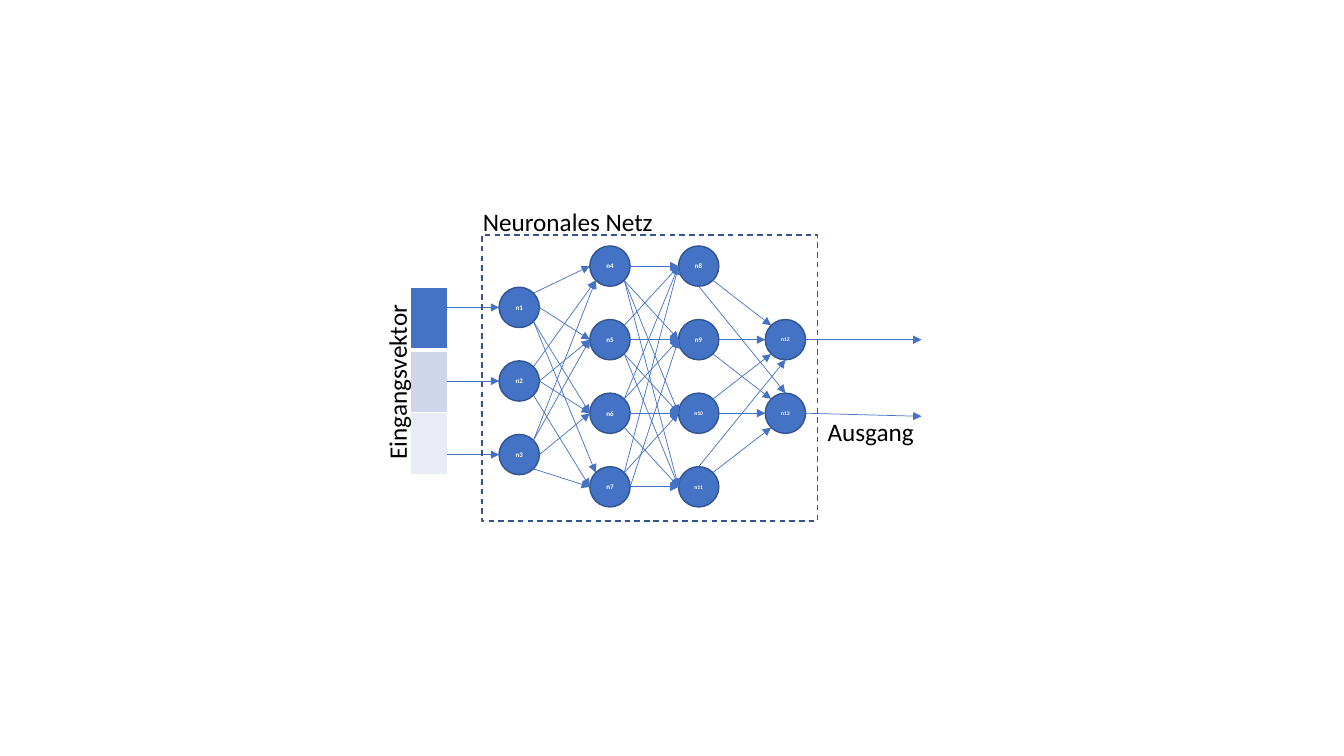
import pptx
import pptx.util
import pptx.dml.color
import pptx.enum.dml
import pptx.enum.shapes
import pptx.enum.text
import pptx.oxml
import pptx.oxml.ns
from lxml import etree
from pptx.util import Inches

COLORS = {"blue": "4472C4", "outline": "325491", "white": "FFFFFF", "black": "000000",
          "light": "CFD5EA", "pale": "E9EBF5"}
FONT = "Calibri"
DIAMETER = 0.4
ROW_STEP = 0.73

# Left edge, first top and node count of each layer
LAYERS = [(4.95, 2.85, 3), (5.85, 2.44, 4), (6.73, 2.44, 4), (7.59, 3.17, 2)]

# Compass points on a node, as fractions of its radius
SITES = {"n": (0, -1), "ne": (0.71, -0.71), "e": (1, 0), "se": (0.71, 0.71),
         "s": (0, 1), "sw": (-0.71, 0.71), "w": (-1, 0), "nw": (-0.71, -0.71)}

# Source node: (exit site, target node, entry site)
EDGES = {
    1: [("ne", 4, "w"), ("e", 5, "w"), ("se", 6, "w"), ("se", 7, "nw")],
    2: [("ne", 4, "sw"), ("e", 5, "w"), ("e", 6, "w"), ("se", 7, "w")],
    3: [("ne", 4, "sw"), ("ne", 5, "w"), ("e", 6, "w"), ("se", 7, "w")],
    4: [("e", 8, "w"), ("se", 9, "w"), ("se", 10, "w"), ("se", 11, "w")],
    5: [("ne", 8, "w"), ("e", 9, "w"), ("se", 10, "w"), ("se", 11, "w")],
    6: [("ne", 8, "w"), ("ne", 9, "w"), ("e", 10, "w"), ("se", 11, "w")],
    7: [("ne", 8, "w"), ("e", 9, "w"), ("ne", 10, "w"), ("e", 11, "w")],
    8: [("se", 12, "nw"), ("s", 13, "n")],
    9: [("e", 12, "w"), ("se", 13, "nw")],
    10: [("ne", 12, "sw"), ("e", 13, "w")],
    11: [("n", 12, "s"), ("ne", 13, "sw")],
}


def rgb(name):
    """Return the named colour."""
    return pptx.dml.color.RGBColor.from_string(COLORS[name])


class Diagram:
    """Holds the style and the current slide."""

    def __init__(self, slide):
        """Draw on the given slide."""
        self.slide = slide

    def set_text(self, text_frame, text, size, color, bold=False, centered=True):
        """Set and format one paragraph of text."""
        text_frame.text = text
        paragraph = text_frame.paragraphs[0]
        if centered:
            paragraph.alignment = pptx.enum.text.PP_ALIGN.CENTER
        font = paragraph.runs[0].font
        font.name, font.size, font.bold = FONT, pptx.util.Pt(size), bold
        font.color.rgb = rgb(color)

    def outlined(self, kind, left, top, width, height):
        """Add a preset shape with the dark outline."""
        shape = self.slide.shapes.add_shape(
            kind, Inches(left), Inches(top), Inches(width), Inches(height))
        shape.shadow.inherit = False
        shape.line.color.rgb = rgb("outline")
        shape.line.width = pptx.util.Pt(1)
        return shape

    def node(self, number, left, top):
        """Add a labelled neuron."""
        shape = self.outlined(pptx.enum.shapes.MSO_SHAPE.FLOWCHART_CONNECTOR,
                              left, top, DIAMETER, DIAMETER)
        shape.fill.solid()
        shape.fill.fore_color.rgb = rgb("blue")
        text_frame = shape.text_frame
        text_frame.margin_left = text_frame.margin_right = 0
        text_frame.margin_top = text_frame.margin_bottom = 0
        text_frame.vertical_anchor = pptx.enum.text.MSO_ANCHOR.MIDDLE
        text_frame.word_wrap = False
        self.set_text(text_frame, f"n{number}", 5 if number < 10 else 4, "white", bold=True)

    def frame(self, left, top, width, height):
        """Add a dashed frame without fill."""
        shape = self.outlined(pptx.enum.shapes.MSO_SHAPE.RECTANGLE, left, top, width, height)
        shape.fill.background()
        shape.line.dash_style = pptx.enum.dml.MSO_LINE.DASH

    def arrow(self, start, end):
        """Add a thin arrow from start to end."""
        connector = self.slide.shapes.add_connector(
            pptx.enum.shapes.MSO_CONNECTOR.STRAIGHT,
            *(Inches(value) for value in (*start, *end)))
        connector.line.color.rgb = rgb("blue")
        connector.line.width = pptx.util.Pt(0.5)
        properties = connector._element.spPr
        etree.SubElement(properties.find(pptx.oxml.ns.qn("a:ln")),
                         pptx.oxml.ns.qn("a:tailEnd"), type="triangle")
        etree.SubElement(properties, pptx.oxml.ns.qn("a:effectLst"))

    def label(self, text, left, top, width, rotation=0, centered=False):
        """Add a caption."""
        box = self.slide.shapes.add_textbox(
            Inches(left), Inches(top), Inches(width), Inches(0.4))
        box.rotation = rotation
        box.text_frame.word_wrap = True
        self.set_text(box.text_frame, text, 18, "black", centered=centered)

    def vector(self, left, top, width, row_height, fills):
        """Add a one-column table with a filled cell per entry."""
        table = self.slide.shapes.add_table(
            len(fills), 1, Inches(left), Inches(top), Inches(width),
            Inches(row_height * len(fills))).table
        table.first_row = table.horz_banding = False
        for row, fill in enumerate(fills):
            table.rows[row].height = Inches(row_height)
            cell = table.cell(row, 0)
            # The first cell is set off by a thick rule
            widths = {"lnL": 1, "lnR": 1, "lnT": 3 if row == 1 else 1,
                      "lnB": 3 if row == 0 else 1}
            properties = cell._tc.get_or_add_tcPr()
            for side, width_points in widths.items():
                border = etree.SubElement(properties, pptx.oxml.ns.qn(f"a:{side}"),
                                          w=str(pptx.util.Pt(width_points)))
                solid = etree.SubElement(border, pptx.oxml.ns.qn("a:solidFill"))
                etree.SubElement(solid, pptx.oxml.ns.qn("a:srgbClr"), val=COLORS["white"])
            cell.fill.solid()
            cell.fill.fore_color.rgb = rgb(fill)


def main():
    """Build the neural network slide."""
    presentation = pptx.Presentation()
    presentation.slide_width, presentation.slide_height = Inches(13.33), Inches(7.5)
    diagram = Diagram(presentation.slides.add_slide(presentation.slide_layouts[6]))

    positions = [(left, top + row * ROW_STEP)
                 for left, top, count in LAYERS for row in range(count)]
    nodes = dict(enumerate(positions, start=1))
    for number, (left, top) in nodes.items():
        diagram.node(number, left, top)

    def site(number, name):
        """Return a compass point on a node's edge."""
        return tuple(corner + DIAMETER / 2 * (1 + offset)
                     for corner, offset in zip(nodes[number], SITES[name]))

    for source, targets in EDGES.items():
        for leaving, target, entering in targets:
            diagram.arrow(site(source, leaving), site(target, entering))

    diagram.vector(4.07, 2.85, 0.37, 0.62, ["blue", "light", "pale"])
    for number in (1, 2, 3):
        entry = site(number, "w")
        diagram.arrow((4.43, entry[1]), entry)
    diagram.label("Eingangsvektor", 2.96, 3.59, 1.95, rotation=270, centered=True)

    for number, end_height in ((12, 3.37), (13, 4.13)):
        diagram.arrow(site(number, "e"), (9.14, end_height))
    diagram.label("Ausgang", 8.11, 4.08, 1.47)
    diagram.frame(4.78, 2.33, 3.33, 2.84)
    diagram.label("Neuronales Netz", 4.69, 2, 2.32)
    presentation.save("out.pptx")


main()
